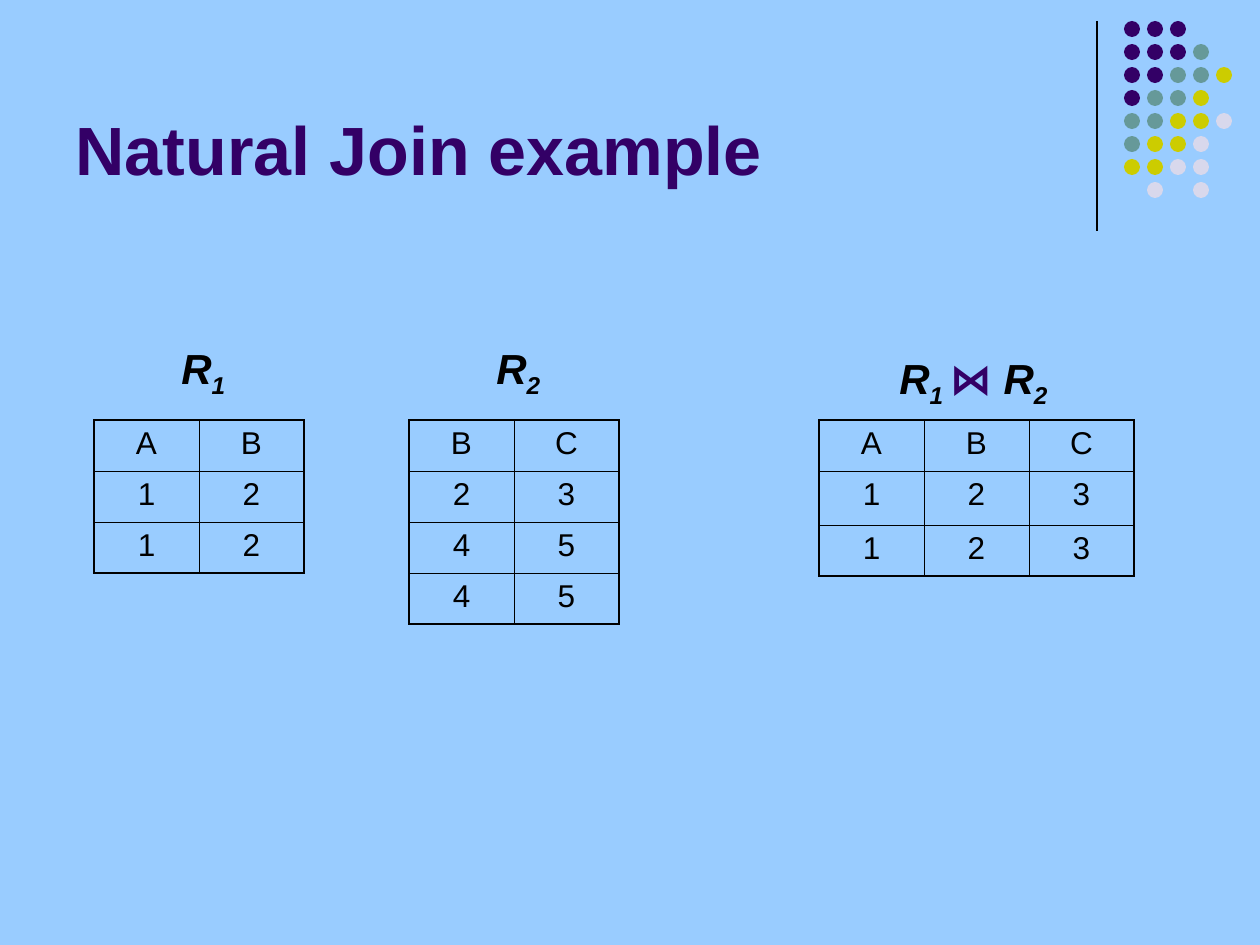
from lxml import etree
from pptx import Presentation, util as u
from pptx.dml.color import RGBColor
from pptx.enum import shapes, text
from pptx.oxml.ns import qn

EMU_PER_PX = 914400 // 126
SLIDE_SIZE = (1260, 945)
BACKGROUND, INK, PURPLE = "99CCFF", "000000", "330066"
FONT = "Arial"

TITLE = "Natural Join example"
TITLE_BOX = (63, 16, 1040, 179)

# Dot pattern: one letter per colour, a dot for a gap
DOT_COLOURS = {"P": PURPLE, "T": "669999", "Y": "CCCC00", "L": "D8D8EC"}
DOT_ROWS = ["PPP..", "PPPT.", "PPTTY", "PTTY.", "TTYYL", "TYYL.", "YYLL.", ".L.L."]
DOT_LEFT, DOT_TOP, DOT_PITCH, DOT_SIZE = 1124, 21, 23, 16
RULE = (1097, 21, 1097, 231)

# Relations: left edge, row heights, cell rows
TABLE_TOP, COLUMN_WIDTH = 420, 105
TABLES = [
    (94, [51, 51, 51], ["AB", "12", "12"]),
    (409, [51, 51, 51, 51], ["BC", "23", "45", "45"]),
    (819, [51, 54, 51], ["ABC", "123", "123"]),
]
OUTER_LINE, INNER_LINE = 1.08, 0.45

# Labels: box, runs of (text, style)
LABELS = [
    ((169, 336, 69, 71), [("R", "name"), ("1", "index")]),
    ((484, 336, 69, 71), [("R", "name"), ("2", "index")]),
    ((887, 346, 176, 71), [("R", "name"), ("1 ", "index"), ("⋈ ", "operator"),
                           ("R", "name"), ("2", "index")]),
]


def px(value):
    return u.Emu(value * EMU_PER_PX)


def colour(hex_string):
    return RGBColor.from_string(hex_string)


def format_font(font, hex_string, **values):
    for name, value in {"name": FONT, **values}.items():
        setattr(font, name, value)
    font.color.rgb = colour(hex_string)


def add_title(slide):
    title = slide.shapes.title
    title.left, title.top, title.width, title.height = map(px, TITLE_BOX)
    frame = title.text_frame
    frame.text = TITLE
    frame.auto_size = text.MSO_AUTO_SIZE.NONE
    frame.vertical_anchor = text.MSO_ANCHOR.BOTTOM
    paragraph = frame.paragraphs[0]
    paragraph.alignment = text.PP_ALIGN.LEFT
    format_font(paragraph.runs[0].font, PURPLE, size=u.Pt(39), bold=True)


def add_decoration(slide):
    rule = slide.shapes.add_connector(shapes.MSO_CONNECTOR.STRAIGHT, *map(px, RULE))
    rule.line.color.rgb = colour(INK)
    rule.line.width = u.Pt(0.75)
    etree.SubElement(rule._element.spPr, qn("a:effectLst"))

    group = slide.shapes.add_group_shape()
    for row, letters in enumerate(DOT_ROWS):
        for column, letter in enumerate(letters):
            if letter not in DOT_COLOURS:
                continue
            dot = group.shapes.add_shape(
                shapes.MSO_SHAPE.OVAL,
                px(DOT_LEFT + column * DOT_PITCH), px(DOT_TOP + row * DOT_PITCH),
                px(DOT_SIZE), px(DOT_SIZE))
            dot.shadow.inherit = False
            dot.fill.solid()
            dot.fill.fore_color.rgb = colour(DOT_COLOURS[letter])
            dot.line.fill.background()


def set_border(cell, side, width):
    line = etree.SubElement(cell._tc.get_or_add_tcPr(), qn(f"a:ln{side}"),
                            w=str(u.Pt(width)))
    fill = etree.SubElement(line, qn("a:solidFill"))
    etree.SubElement(fill, qn("a:srgbClr"), val=INK)


def add_relation(slide, left, heights, rows):
    last_row, last_column = len(rows) - 1, len(rows[0]) - 1
    table = slide.shapes.add_table(
        len(rows), len(rows[0]), px(left), px(TABLE_TOP),
        px(COLUMN_WIDTH * len(rows[0])), px(sum(heights))).table
    table.first_row = table.horz_banding = False
    for column in table.columns:
        column.width = px(COLUMN_WIDTH)
    for r, (height, values) in enumerate(zip(heights, rows)):
        table.rows[r].height = px(height)
        for c, value in enumerate(values):
            cell = table.cell(r, c)
            cell.text = value
            paragraph = cell.text_frame.paragraphs[0]
            paragraph.alignment = text.PP_ALIGN.CENTER
            format_font(paragraph.runs[0].font, INK, size=u.Pt(18))
            on_edge = {"L": c == 0, "R": c == last_column,
                       "T": r == 0, "B": r == last_row}
            for side, outer in on_edge.items():
                set_border(cell, side, OUTER_LINE if outer else INNER_LINE)
            cell.fill.background()


def add_label(slide, box, runs):
    frame = slide.shapes.add_textbox(*map(px, box)).text_frame
    frame.word_wrap = False
    frame.auto_size = text.MSO_AUTO_SIZE.SHAPE_TO_FIT_TEXT
    for value, style in runs:
        run = frame.paragraphs[0].add_run()
        run.text = value
        is_operator = style == "operator"
        format_font(run.font, PURPLE if is_operator else INK,
                    size=u.Pt(24), bold=True, italic=not is_operator)
        if style == "index":
            run._r.get_or_add_rPr().set("baseline", "-25000")


def main():
    presentation = Presentation()
    presentation.slide_width, presentation.slide_height = map(px, SLIDE_SIZE)
    slide = presentation.slides.add_slide(presentation.slide_layouts[5])
    slide.background.fill.solid()
    slide.background.fill.fore_color.rgb = colour(BACKGROUND)

    add_decoration(slide)
    add_title(slide)
    for relation in TABLES:
        add_relation(slide, *relation)
    for label in LABELS:
        add_label(slide, *label)
    presentation.save("out.pptx")


if __name__ == "__main__":
    main()
